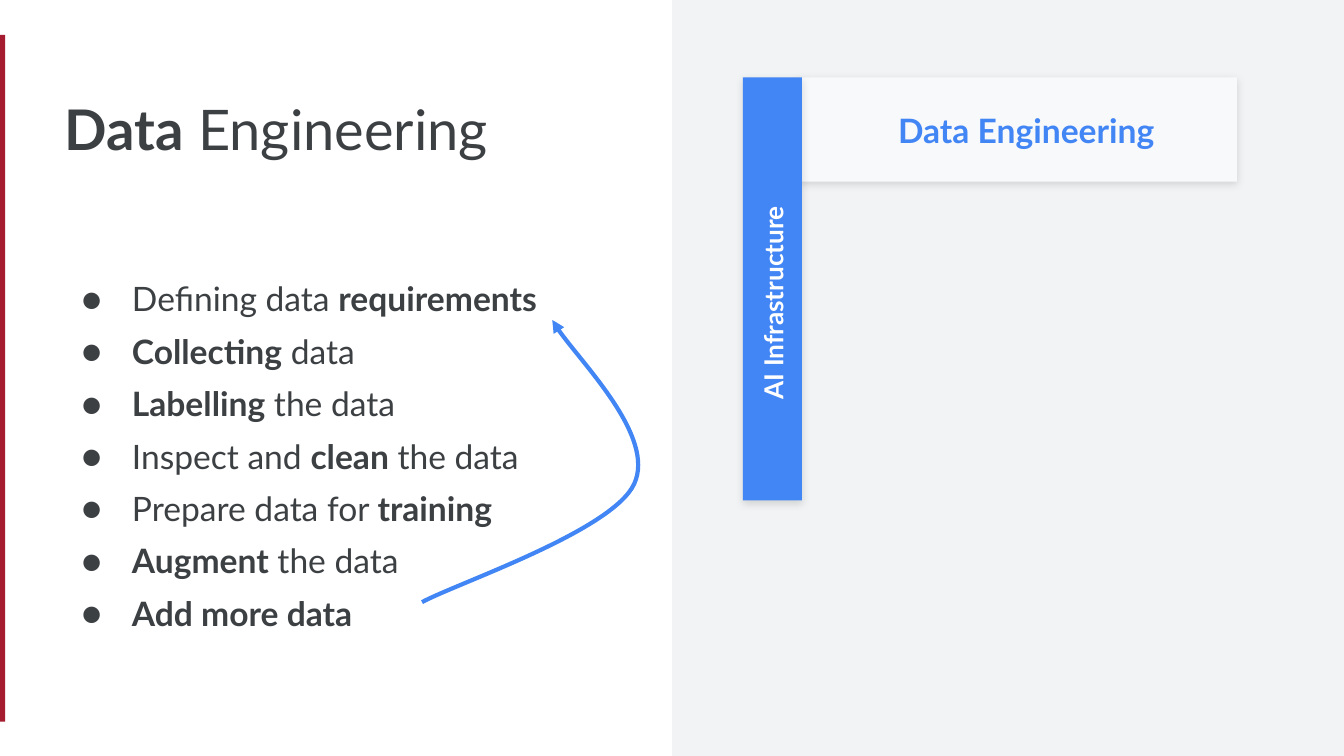
from dataclasses import dataclass

from lxml import etree
from pptx import Presentation
from pptx import util as u
from pptx.dml.color import RGBColor
from pptx.enum import shapes, text
from pptx.oxml import ns

WHITE, GREY, CRIMSON = "FFFFFF", "F1F3F4", "A51C30"
INK, BLUE, PALE = "3C4043", "4285F4", "F8F9FA"
FONT = "Lato"


@dataclass
class Box:
    left: float
    top: float
    width: float
    height: float

    def lengths(self) -> list:
        return [u.Pt(v) for v in (self.left, self.top, self.width, self.height)]


@dataclass
class Panel:
    box: Box
    color: str
    raised: bool = False


@dataclass
class Label:
    text: str
    box: Box
    size: float
    color: str
    anchor: text.MSO_ANCHOR = text.MSO_ANCHOR.TOP
    rotation: float = 0


PANELS = [
    Panel(Box(-1.5, 0, 361.5, 405), WHITE),
    Panel(Box(-1.5, 18.7, 4.3, 368), CRIMSON),
    Panel(Box(427.5, 41.5, 235.2, 55.8), PALE, True),
    Panel(Box(398, 41.5, 31.6, 226.6), BLUE, True),
]
LABELS = [
    Label("AI Infrastructure", Box(348, 139, 132.4, 31.6), 14, WHITE, rotation=270),
    Label("Data Engineering", Box(474, 51, 166.3, 37.4), 18, BLUE, text.MSO_ANCHOR.MIDDLE),
]
# Bold words stand between asterisks.
TITLE = ["*Data* Engineering"]
STEPS = [
    "Defining data *requirements*",
    "*Collecting* data",
    "*Labelling* the data",
    "Inspect and *clean* the data",
    "Prepare data for *training*",
    "*Augment* the data",
    "*Add more data*",
]
# Start point, then three Bézier points for each segment.
LOOP = [(295.9, 171.4), (303.1, 185.8), (351.4, 234), (339.8, 259.2),
        (328.3, 284.4), (244.8, 312.5), (226.1, 322.6)]
LOOP_WIDTH = 116.1


def rgb(color: str) -> RGBColor:
    return RGBColor.from_string(color)


def add_xml(parent, tag: str, **attrs):
    return etree.SubElement(parent, ns.qn(tag), attrs)


def style(font, size: float, color: str, bold: bool) -> None:
    font.name, font.size, font.bold = FONT, u.Pt(size), bold
    font.color.rgb = rgb(color)


def set_insets(tf) -> None:
    tf.word_wrap, tf.auto_size = True, text.MSO_AUTO_SIZE.NONE
    tf.margin_left = tf.margin_right = tf.margin_top = tf.margin_bottom = u.Pt(7.2)


def draw_panel(s, panel: Panel) -> None:
    sp = s.shapes.add_shape(shapes.MSO_SHAPE.RECTANGLE, *panel.box.lengths())
    sp.shadow.inherit = False
    sp.fill.solid()
    sp.fill.fore_color.rgb = rgb(panel.color)
    sp.line.fill.background()
    if panel.raised:
        effects = sp._element.spPr.find(ns.qn("a:effectLst"))
        shadow = add_xml(effects, "a:outerShdw", blurRad=str(u.Pt(4.5)),
                         dist=str(u.Pt(1.5)), dir="5400000", algn="bl", rotWithShape="0")
        add_xml(add_xml(shadow, "a:srgbClr", val="000000"), "a:alpha", val="12000")


def draw_label(s, label: Label) -> None:
    sp = s.shapes.add_textbox(*label.box.lengths())
    sp.rotation = label.rotation
    tf = sp.text_frame
    set_insets(tf)
    tf.vertical_anchor = label.anchor
    tf.text = label.text
    style(tf.paragraphs[0].runs[0].font, label.size, label.color, True)


def fill_placeholder(sp, box: Box, lines: list[str], size: float,
                     spacing: float, bulleted: bool = False) -> None:
    sp.left, sp.top, sp.width, sp.height = box.lengths()
    tf = sp.text_frame
    set_insets(tf)
    tf.vertical_anchor = text.MSO_ANCHOR.TOP
    tf.text = "\n".join(lines)
    for p, line in zip(tf.paragraphs, lines):
        p.text = ""
        p.alignment = text.PP_ALIGN.LEFT
        p.line_spacing, p.space_before = spacing, u.Pt(0)
        if bulleted:
            pPr = p._p.get_or_add_pPr()
            pPr.set("marL", str(u.Pt(36)))
            pPr.set("indent", str(u.Pt(-27)))
            add_xml(add_xml(pPr, "a:buClr"), "a:srgbClr", val=INK)
            add_xml(pPr, "a:buFont", typeface=FONT)
            add_xml(pPr, "a:buChar", char="●")
        for i, part in enumerate(line.split("*")):
            if part:
                r = p.add_run()
                r.text = part
                style(r.font, size, INK, i % 2 == 1)


def draw_loop(s) -> None:
    """Draw the curved arrow from the last step back to the first."""
    points = [(u.Pt(x), u.Pt(y)) for x, y in LOOP]
    builder = s.shapes.build_freeform(*points[0])
    builder.add_line_segments(points[1:], close=False)
    sp = builder.convert_to_shape()
    sp.shadow.inherit = False
    sp.fill.background()
    sp.line.color.rgb, sp.line.width = rgb(BLUE), u.Pt(2.25)
    add_xml(sp.line._get_or_add_ln(), "a:headEnd", type="triangle")

    # Turn each three line points into one curve, which is narrower than they are.
    curve = sp._element.find(".//" + ns.qn("a:path"))
    lines = curve.findall(ns.qn("a:lnTo"))
    for i in range(0, len(lines), 3):
        segment = add_xml(curve, "a:cubicBezTo")
        for line in lines[i:i + 3]:
            segment.append(line[0])
            curve.remove(line)
    sp.width = u.Pt(LOOP_WIDTH)
    curve.set("w", str(sp.width))


def main() -> None:
    prs = Presentation()
    prs.slide_width, prs.slide_height = u.Pt(720), u.Pt(405)
    s = prs.slides.add_slide(prs.slide_layouts[1])
    s.background.fill.solid()
    s.background.fill.fore_color.rgb = rgb(GREY)
    title, body = s.placeholders

    for panel in PANELS:
        draw_panel(s, panel)
    for label in LABELS:
        draw_label(s, label)
    fill_placeholder(title, Box(27.5, 47.5, 304.5, 76.3), TITLE, 30, 0.9)
    fill_placeholder(body, Box(27.5, 135.4, 304.5, 181.4), STEPS, 18, 1.3, True)
    for sp in (title, body):
        s.shapes._spTree.append(sp._element)  # in front of the panels
    draw_loop(s)
    prs.save("out.pptx")


if __name__ == "__main__":
    main()
